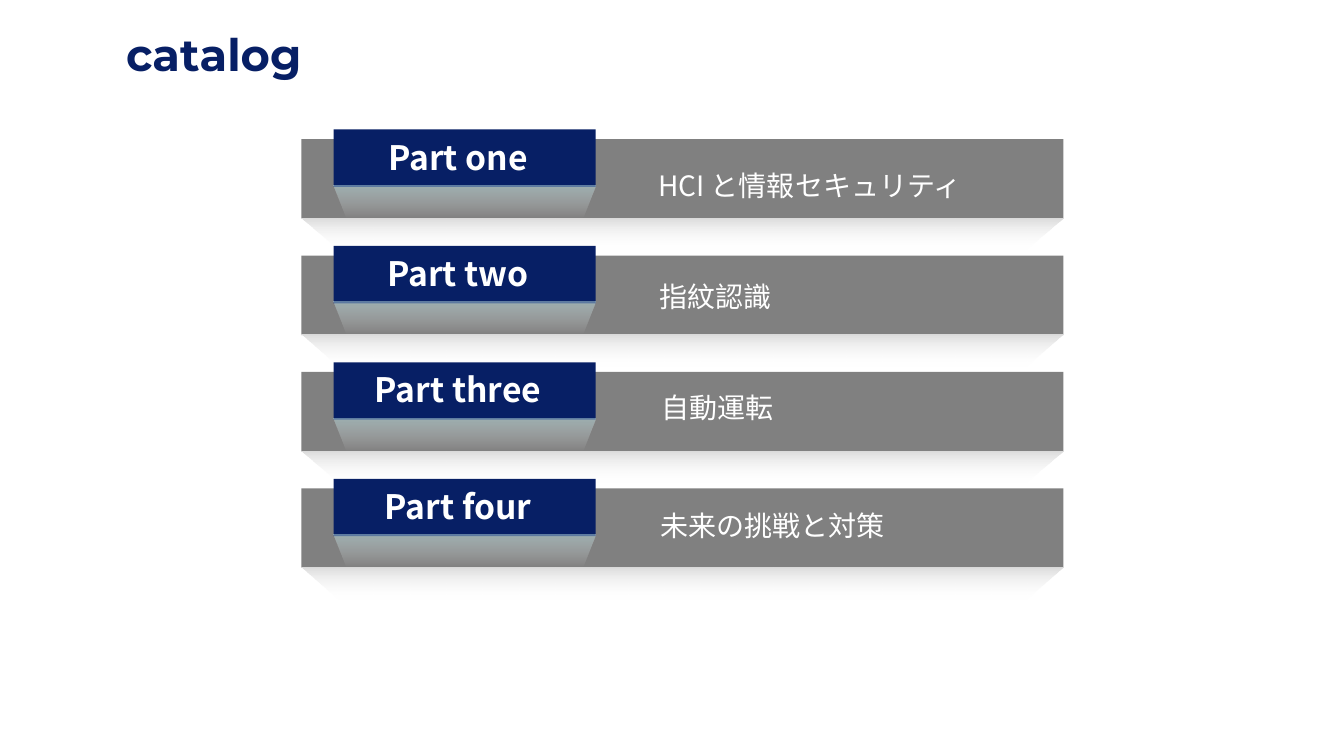
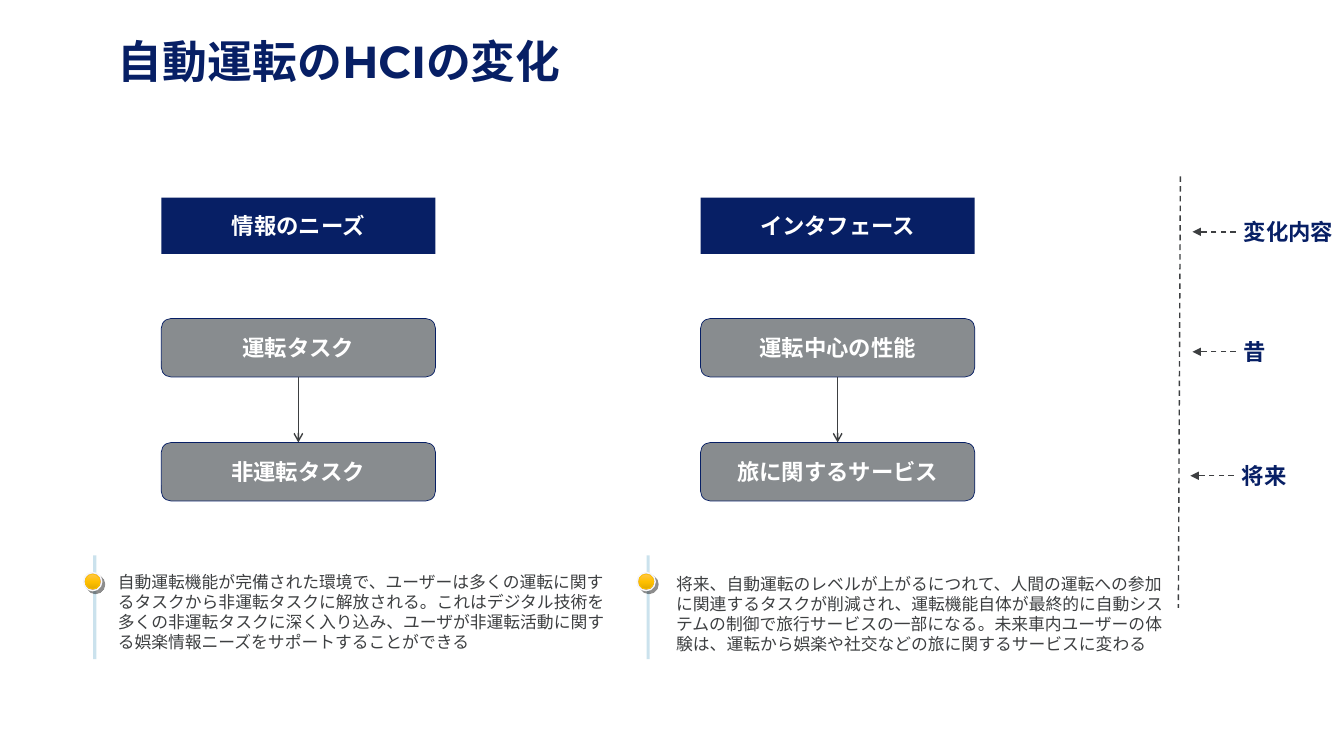
from dataclasses import dataclass
from typing import NamedTuple

from lxml import etree
from pptx import Presentation
from pptx.dml.color import RGBColor
from pptx.enum import dml, shapes, text
from pptx.oxml import ns, parse_xml
from pptx import util as u

COLORS = {
    "navy": "071F65", "bar": "808080", "box": "888C8F", "ink": "3D3F41",
    "white": "FFFFFF", "mist": "DDDDDD", "ice": "BBE0E3", "rail": "98C7DC",
    "lilac": "EAE4EA", "plum": "A57DA5", "rim": "F8F8F8", "shade": "1C1C1C",
    "honey": "FFC64B", "gold": "FFC000", "amber": "E3AB00",
}
HEAD_FONT, BOLD_FONT, BODY_FONT = "Montserrat", "Noto Sans CJK SC", "Noto Sans CJK JP"
COLUMNS, ROWS = 133.33, 75  # square grid, ten cells to the inch
LEFT, CENTER = text.PP_ALIGN.LEFT, text.PP_ALIGN.CENTER
TOP, MIDDLE, BOTTOM = (text.MSO_ANCHOR.TOP, text.MSO_ANCHOR.MIDDLE,
                       text.MSO_ANCHOR.BOTTOM)
RECT, ROUND, OVAL = (shapes.MSO_SHAPE.RECTANGLE, shapes.MSO_SHAPE.ROUNDED_RECTANGLE,
                     shapes.MSO_SHAPE.OVAL)


class Frame(NamedTuple):
    """Left, top, width and height in grid cells."""
    left: float
    top: float
    width: float
    height: float


class Stop(NamedTuple):
    position: int
    color: str
    alpha: int = 100


@dataclass
class Part:
    label: str
    topic: str
    left: float
    top: float
    spacing: float = 1.0


@dataclass
class Change:
    left: float
    boxes: tuple[str, str, str]
    rail: float
    note_left: float
    note_top: float
    note: str


@dataclass
class Marker:
    label: str
    left: float
    y: float


PARTS = [
    Part("Part one", "HCI と情報セキュリティ", 64.3, 15.2, 1.3),
    Part("Part two", "指紋認識", 64.4, 27.2),
    Part("Part three", "自動運転", 64.6, 38.2),
    Part("Part four", "未来の挑戦と対策", 64.5, 50),
]
CHANGES = [
    Change(16, ("情報のニーズ", "運転タスク", "非運転タスク"), 9.4, 10.7, 56.2,
           "自動運転機能が完備された環境で、ユーザーは多くの運転に関するタスクから"
           "非運転タスクに解放される。これはデジタル技術を多くの非運転タスクに深く入り込み、"
           "ユーザが非運転活動に関する娯楽情報ニーズをサポートすることができる"),
    Change(69.5, ("インタフェース", "運転中心の性能", "旅に関するサービス"), 64.3, 66.1, 56.4,
           "将来、自動運転のレベルが上がるにつれて、人間の運転への参加に関連するタスクが"
           "削減され、運転機能自体が最終的に自動システムの制御で旅行サービスの一部になる。"
           "未来車内ユーザーの体験は、運転から娯楽や社交などの旅に関するサービスに変わる"),
]
MARKERS = [Marker("変化内容", 122.4, 23), Marker("昔", 122.4, 34.9),
           Marker("将来", 122.2, 47.2)]


# Shared helpers
def cells(count: float) -> int:
    return u.Inches(count / 10)


def rgb(name: str) -> RGBColor:
    return RGBColor.from_string(COLORS[name])


def write(tf, content: str, *, size: float, color: str, font: str, east: str = "",
          bold: bool = False, align=LEFT, anchor=TOP, spacing: float = 1.0,
          wrap: bool = True) -> None:
    tf.word_wrap = wrap
    tf.auto_size = text.MSO_AUTO_SIZE.NONE
    tf.vertical_anchor = anchor
    p = tf.paragraphs[0]
    p.alignment, p.line_spacing = align, spacing
    r = p.add_run()
    r.text = content
    r.font.size, r.font.bold, r.font.name = u.Pt(size), bold, font
    r.font.color.rgb = rgb(color)
    etree.SubElement(r.font._element, ns.qn("a:ea"), typeface=east or font)


def add_text(slide, frame: Frame, content: str, **style) -> None:
    box = slide.shapes.add_textbox(*map(cells, frame))
    write(box.text_frame, content, **style)


def add_title(slide, content: str, left: float, top: float) -> None:
    title = slide.shapes.title
    title.left, title.top, title.width, title.height = map(
        cells, Frame(left, top, 120.9, 7.7))
    write(title.text_frame, content, size=32, color="navy", font=HEAD_FONT,
          east=BOLD_FONT, bold=True, anchor=BOTTOM, spacing=0.9)


def add_shape(slide, kind, frame: Frame, fill: str, line: str = "", weight: float = 0.5):
    sp = slide.shapes.add_shape(kind, *map(cells, frame))
    sp.shadow.inherit = False
    sp.fill.solid()
    sp.fill.fore_color.rgb = rgb(fill)
    if line:
        sp.line.color.rgb, sp.line.width = rgb(line), u.Pt(weight)
    else:
        sp.line.fill.background()
    return sp


def set_gradient(sp, stops: list[Stop], angle: int = 90) -> None:
    marks = "".join(
        f'<a:gs pos="{s.position * 1000}"><a:srgbClr val="{COLORS[s.color]}">'
        f'<a:alpha val="{s.alpha * 1000}"/></a:srgbClr></a:gs>' for s in stops)
    sp.fill.background()
    props = sp._element.spPr
    props.replace(props.find(ns.qn("a:noFill")), parse_xml(
        f'<a:gradFill {ns.nsdecls("a")} rotWithShape="1"><a:gsLst>{marks}</a:gsLst>'
        f'<a:lin ang="{angle * 60000}" scaled="0"/></a:gradFill>'))


def add_line(slide, x1: float, y1: float, x2: float, y2: float, *, color: str = "ink",
             weight: float = 1, dashed: bool = False, head: str = "", alpha: int = 100):
    c = slide.shapes.add_connector(shapes.MSO_CONNECTOR.STRAIGHT,
                                   *map(cells, (x1, y1, x2, y2)))
    c.line.color.rgb, c.line.width = rgb(color), u.Pt(weight)
    if dashed:
        c.line.dash_style = dml.MSO_LINE.DASH
    props = c._element.spPr
    ln = props.find(ns.qn("a:ln"))
    if head:
        etree.SubElement(ln, ns.qn("a:tailEnd"), type=head)
    if alpha < 100:
        etree.SubElement(ln.find(".//" + ns.qn("a:srgbClr")), ns.qn("a:alpha"),
                         val=str(alpha * 1000))
    etree.SubElement(props, ns.qn("a:effectLst"))
    return c


# Slide 1: folded bars
def add_fold(slide, left: float, top: float, width: float, start: Stop) -> None:
    slant, height = width * 0.05, 3.15
    builder = slide.shapes.build_freeform(cells(left), cells(top))
    corners = [(left + slant, top + height), (left + width - slant, top + height),
               (left + width, top)]
    builder.add_line_segments([(cells(x), cells(y)) for x, y in corners])
    sp = builder.convert_to_shape()
    sp.shadow.inherit = False
    sp.line.fill.background()
    set_gradient(sp, [start, Stop(100, "white", 0)])


def add_part(slide, part: Part, top: float) -> None:
    add_shape(slide, RECT, Frame(29.9, top, 75.6, 7.9), "bar")
    tab = add_shape(slide, RECT, Frame(33.1, top - 0.95, 26, 5.7), "navy")
    tab.text_frame.margin_right, tab.text_frame.margin_bottom = cells(2.3), cells(0.8)
    write(tab.text_frame, part.label, size=24, color="white", font=BOLD_FONT,
          bold=True, align=CENTER, anchor=MIDDLE)
    add_fold(slide, 29.9, top + 7.85, 75.6, Stop(0, "mist"))
    add_fold(slide, 33.1, top + 4.6, 26, Stop(0, "ice", 50))
    add_text(slide, Frame(part.left, part.top, 37.8, 5), part.topic, size=20,
             color="white", font=BODY_FONT, spacing=part.spacing)


def build_catalog(slide) -> None:
    add_title(slide, "catalog", 11.5, 0.9)
    for i, part in enumerate(PARTS):
        add_part(slide, part, 13.8 + i * 11.55)


# Slide 2: columns of change, notes and time markers
def add_bead(slide, left: float, top: float) -> None:
    ring = add_shape(slide, OVAL, Frame(left, top, 1.8, 1.8), "lilac", "rim", 1)
    set_gradient(ring, [Stop(0, "lilac"), Stop(100, "plum")], 45)
    ring._element.spPr.find(ns.qn("a:effectLst")).append(parse_xml(
        f'<a:outerShdw {ns.nsdecls("a")} blurRad="0" dist="{u.Pt(2.8)}" dir="2700000" '
        f'algn="ctr" rotWithShape="0"><a:srgbClr val="{COLORS["shade"]}">'
        '<a:alpha val="50000"/></a:srgbClr></a:outerShdw>'))
    core = add_shape(slide, OVAL, Frame(left + 0.15, top + 0.15, 1.5, 1.5), "gold", "gold")
    set_gradient(core, [Stop(0, "honey"), Stop(50, "gold"), Stop(100, "amber")])


def add_change(slide, change: Change) -> None:
    width = 27.2
    looks = [(RECT, 19.6, 5.6, "navy", ""), (ROUND, 31.6, 5.8, "box", "navy"),
             (ROUND, 43.9, 5.8, "box", "navy")]
    boxes = []
    for label, (kind, top, height, fill, line) in zip(change.boxes, looks):
        sp = add_shape(slide, kind, Frame(change.left, top, width, height), fill, line)
        write(sp.text_frame, label, size=16, color="white", font=BOLD_FONT,
              bold=True, align=CENTER, anchor=MIDDLE)
        boxes.append(sp)
    middle = change.left + width / 2
    arrow = add_line(slide, middle, 37.4, middle, 43.9, head="arrow")
    arrow.begin_connect(boxes[1], 2)
    arrow.end_connect(boxes[2], 0)

    add_line(slide, change.rail, 55.1, change.rail, 65.4, color="rail",
             weight=2.25, alpha=50)
    add_bead(slide, change.rail - 1.1, 56.8)
    add_text(slide, Frame(change.note_left, change.note_top, 50.5, 9.1), change.note,
             size=12, color="ink", font=BODY_FONT)


def add_marker(slide, marker: Marker) -> None:
    add_line(slide, marker.left + 0.2, marker.y, marker.left - 4.1, marker.y,
             dashed=True, head="triangle")
    add_text(slide, Frame(marker.left, marker.y - 1.85, 2 + 2.22 * len(marker.label), 3.7),
             marker.label, size=16, color="navy", font=BOLD_FONT, bold=True, wrap=False)


def build_changes(slide) -> None:
    add_title(slide, "自動運転のHCIの変化", 10.7, 1.6)
    add_line(slide, 117.1, 17.5, 116.9, 60.3, dashed=True)
    for change in CHANGES:
        add_change(slide, change)
    for marker in MARKERS:
        add_marker(slide, marker)


def main() -> None:
    prs = Presentation()
    prs.slide_width, prs.slide_height = cells(COLUMNS), cells(ROWS)
    title_only = prs.slide_layouts[5]
    for build in (build_catalog, build_changes):
        build(prs.slides.add_slide(title_only))
    prs.save("out.pptx")


if __name__ == "__main__":
    main()
